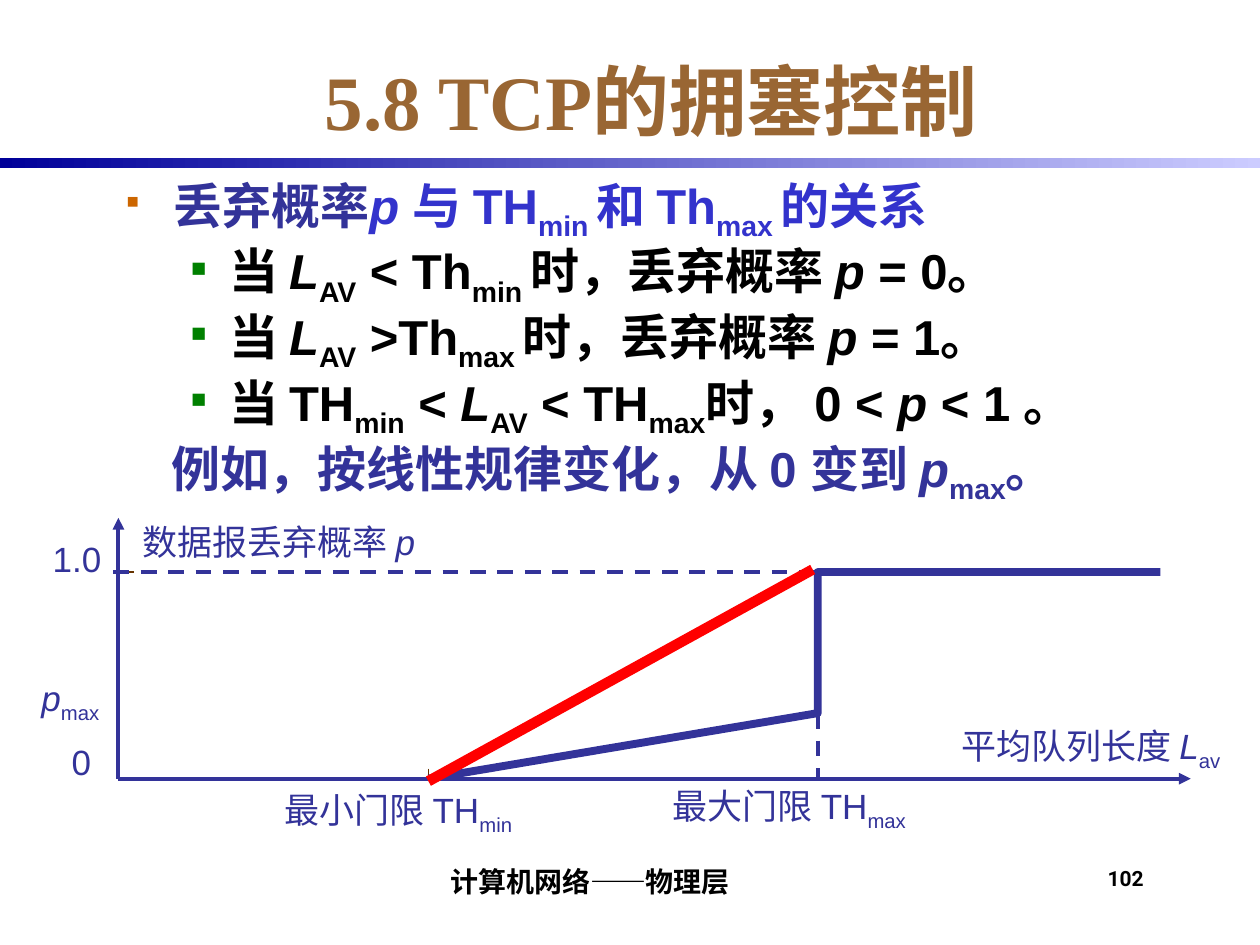
from lxml import etree
from pptx import Presentation
from pptx.dml.color import RGBColor
from pptx.enum.dml import MSO_LINE
from pptx.enum.shapes import MSO_CONNECTOR, MSO_SHAPE
from pptx.enum.text import MSO_ANCHOR, PP_ALIGN
from pptx.oxml.ns import qn
from pptx.util import Inches, Pt

COLUMNS, ROWS = 100, 75
UNIT = Inches(0.1)

INDIGO = RGBColor(0x33, 0x33, 0x99)
BLUE = RGBColor(0x33, 0x33, 0xCC)
NAVY = RGBColor(0x00, 0x00, 0x99)
LAVENDER = RGBColor(0xCC, 0xCC, 0xFF)
BROWN = RGBColor(0x99, 0x66, 0x33)
DARK_BROWN = RGBColor(0x66, 0x33, 0x00)
ORANGE = RGBColor(0xCC, 0x66, 0x00)
GREEN = RGBColor(0x00, 0x80, 0x00)
RED = RGBColor(0xFF, 0x00, 0x00)
BLACK = RGBColor(0x00, 0x00, 0x00)

STRAIGHT = MSO_CONNECTOR.STRAIGHT
RECTANGLE = MSO_SHAPE.RECTANGLE
DASH = MSO_LINE.DASH
TOP, MIDDLE, BOTTOM = MSO_ANCHOR.TOP, MSO_ANCHOR.MIDDLE, MSO_ANCHOR.BOTTOM
LEFT, CENTER = PP_ALIGN.LEFT, PP_ALIGN.CENTER

ITALIC, SUB = "italic", "sub"
TEXT_INSETS = (0.1, 0.05, 0.1, 0.05)


def grid(*cells):
    return [round(cell * UNIT) for cell in cells]


def add_runs(paragraph, pieces, size, font, color, bold=False):
    for piece in pieces:
        words, *marks = (piece,) if isinstance(piece, str) else piece
        run = paragraph.add_run()
        run.text = words
        run.font.size = Pt(size)
        run.font.name = font
        run.font.bold = bold
        run.font.italic = ITALIC in marks
        run.font.color.rgb = next((m for m in marks if isinstance(m, RGBColor)), color)
        if SUB in marks:
            run.font._element.set("baseline", "-25000")


def add_text_frame(slide, box, anchor=TOP, insets=TEXT_INSETS):
    frame = slide.shapes.add_textbox(*grid(*box)).text_frame
    frame.word_wrap = True
    frame.vertical_anchor = anchor
    (frame.margin_left, frame.margin_top,
     frame.margin_right, frame.margin_bottom) = map(Inches, insets)
    return frame


def add_line(slide, start, end, color, width, dash=None, arrow=False):
    connector = slide.shapes.add_connector(STRAIGHT, *grid(*start, *end))
    connector.line.color.rgb = color
    connector.line.width = Pt(width)
    if dash:
        connector.line.dash_style = dash
    if arrow:
        etree.SubElement(connector.line._get_or_add_ln(), qn("a:tailEnd"), type="triangle")
    etree.SubElement(connector._element.spPr, qn("a:effectLst"))


def add_bullet(paragraph, color, share):
    properties = paragraph._p.get_or_add_pPr()
    bullet_color = etree.SubElement(properties, qn("a:buClr"))
    etree.SubElement(bullet_color, qn("a:srgbClr"), val=str(color))
    etree.SubElement(properties, qn("a:buSzPct"), val=str(share * 1000))
    etree.SubElement(properties, qn("a:buFont"), typeface="Arial")
    etree.SubElement(properties, qn("a:buChar"), char="▪")


def title_band(slide, box):
    left, top, width, height = box
    rule = slide.shapes.add_shape(RECTANGLE, *grid(left, top + height, width, 0.8))
    rule.shadow.inherit = False
    rule.line.fill.background()
    rule.fill.gradient()
    rule.fill.gradient_angle = 0
    for position, (stop, color) in enumerate(zip(rule.fill.gradient_stops, (NAVY, LAVENDER))):
        stop.color.rgb = color
        stop.position = position
    title = add_text_frame(slide, (left + 9.2, top, 85, height), MIDDLE).paragraphs[0]
    title.alignment = CENTER
    add_runs(title, ["5.8 TCP的拥塞控制"], 44, "Times New Roman", BROWN, True)


def rules_list(slide, box):
    average = [("L", ITALIC), ("AV", SUB)]
    topic = (0.38, -0.38, ORANGE, 80, INDIGO)
    case = (0.82, -0.31, GREEN, 100, BLACK)
    example = (0.36, 0, None, None, INDIGO)
    rules = [
        (topic, ["丢弃概率", ("p ", ITALIC, BLUE), ("与 TH", BLUE), ("min ", SUB, BLUE),
                 ("和 Th", BLUE), ("max ", SUB, BLUE), ("的关系", BLUE)]),
        (case, ["当 ", *average, " < Th", ("min ", SUB), "时，丢弃概率 ",
                ("p", ITALIC), " = 0。"]),
        (case, ["当 ", *average, " >Th", ("max ", SUB), "时，丢弃概率 ",
                ("p", ITALIC), " = 1。"]),
        (case, ["当 TH", ("min", SUB), " < ", *average, " < TH", ("max", SUB),
                "时， 0 < ", ("p ", ITALIC), "< 1 。"]),
        (example, ["例如，按线性规律变化，从 0 变到 ", ("p", ITALIC), ("max", SUB), "。"]),
    ]
    frame = add_text_frame(slide, box)
    for index, ((margin, indent, bullet, share, color), pieces) in enumerate(rules):
        paragraph = frame.add_paragraph() if index else frame.paragraphs[0]
        properties = paragraph._p.get_or_add_pPr()
        properties.set("marL", str(Inches(margin)))
        properties.set("indent", str(Inches(indent)))
        if bullet:
            add_bullet(paragraph, bullet, share)
        paragraph.line_spacing = 0.8
        if index:
            paragraph.space_before = Pt(7)
        add_runs(paragraph, pieces, 28, "Arial", color, True)


def probability_plot(slide, box):
    left, top, width, height = box
    th_min, th_max, curve_end = 24.6, 55.5, 82.7
    certain, p_max = 4.3, 15.5

    def at(x, y):
        return left + x, top + y

    origin = at(0, height)
    for tip in (at(width, height), at(0, 0)):
        add_line(slide, origin, tip, INDIGO, 2.25, arrow=True)
    add_line(slide, at(th_max, p_max), at(th_max, height), INDIGO, 2.25, DASH)
    add_line(slide, at(th_min, height - 0.8), at(th_min, height), DARK_BROWN, 0.75)
    add_line(slide, at(0, certain), at(1.2, certain), DARK_BROWN, 0.75)

    knees = [(th_max, p_max), (th_max, certain), (curve_end, certain)]
    builder = slide.shapes.build_freeform(*grid(*at(th_min, height)))
    builder.add_line_segments([grid(*at(*knee)) for knee in knees], close=False)
    curve = builder.convert_to_shape()
    curve.shadow.inherit = False
    curve.fill.background()
    curve.line.color.rgb = INDIGO
    curve.line.width = Pt(4.5)

    add_line(slide, at(-0.4, certain), at(th_max, certain), INDIGO, 2.25, DASH)
    add_line(slide, at(th_min, height + 0.2), at(55.1, certain - 0.2), RED, 6)

    labels = [
        (12.2, 21, 22, 4.8, ["最小门限 TH", ("min", SUB)]),
        (43, 20.7, 22.5, 4.8, ["最大门限 TH", ("max", SUB)]),
        (65.9, 15.9, 24.5, 4.8, ["平均队列长度 ", ("L", ITALIC), ("av", SUB)]),
        (0.9, -0.3, 25.5, 4.4, ["数据报丢弃概率 ", ("p", ITALIC)]),
        (-6.2, 1.1, 7, 4.4, ["1.0"]),
        (-4.7, 17.2, 4.5, 4.4, ["0"]),
        (-7.1, 12.1, 8, 4.8, [("p", ITALIC), ("max", SUB)]),
    ]
    for x, y, label_width, label_height, pieces in labels:
        frame = add_text_frame(slide, (*at(x, y), label_width, label_height))
        add_runs(frame.paragraphs[0], pieces, 20, "Arial", INDIGO)


def footer(slide, box):
    left, top, width, height = box
    notes = [
        (0, 0, 51.7, BOTTOM, (0.04, 0, 0, 0.04), CENTER, "计算机网络——物理层", 16),
        (width - 5.8, 0.8, 5.8, TOP, (0.04, 0.04, 0, 0), LEFT, "102", 12),
    ]
    for x, y, note_width, anchor, insets, alignment, words, size in notes:
        frame = add_text_frame(slide, (left + x, top + y, note_width, height), anchor, insets)
        frame.paragraphs[0].alignment = alignment
        add_runs(frame.paragraphs[0], [words], size, "Roboto", BLACK, True)


def main():
    deck = Presentation()
    deck.slide_width, deck.slide_height = grid(COLUMNS, ROWS)
    slide = deck.slides.add_slide(deck.slide_layouts[6])
    title_band(slide, (0, 3.3, COLUMNS, 9.2))
    rules_list(slide, (9, 13.9, 85, 26))
    probability_plot(slide, (9.4, 41.1, 85.1, 20.7))
    footer(slide, (20.8, 67.5, 72.5, 4.2))
    deck.save("out.pptx")


if __name__ == "__main__":
    main()
